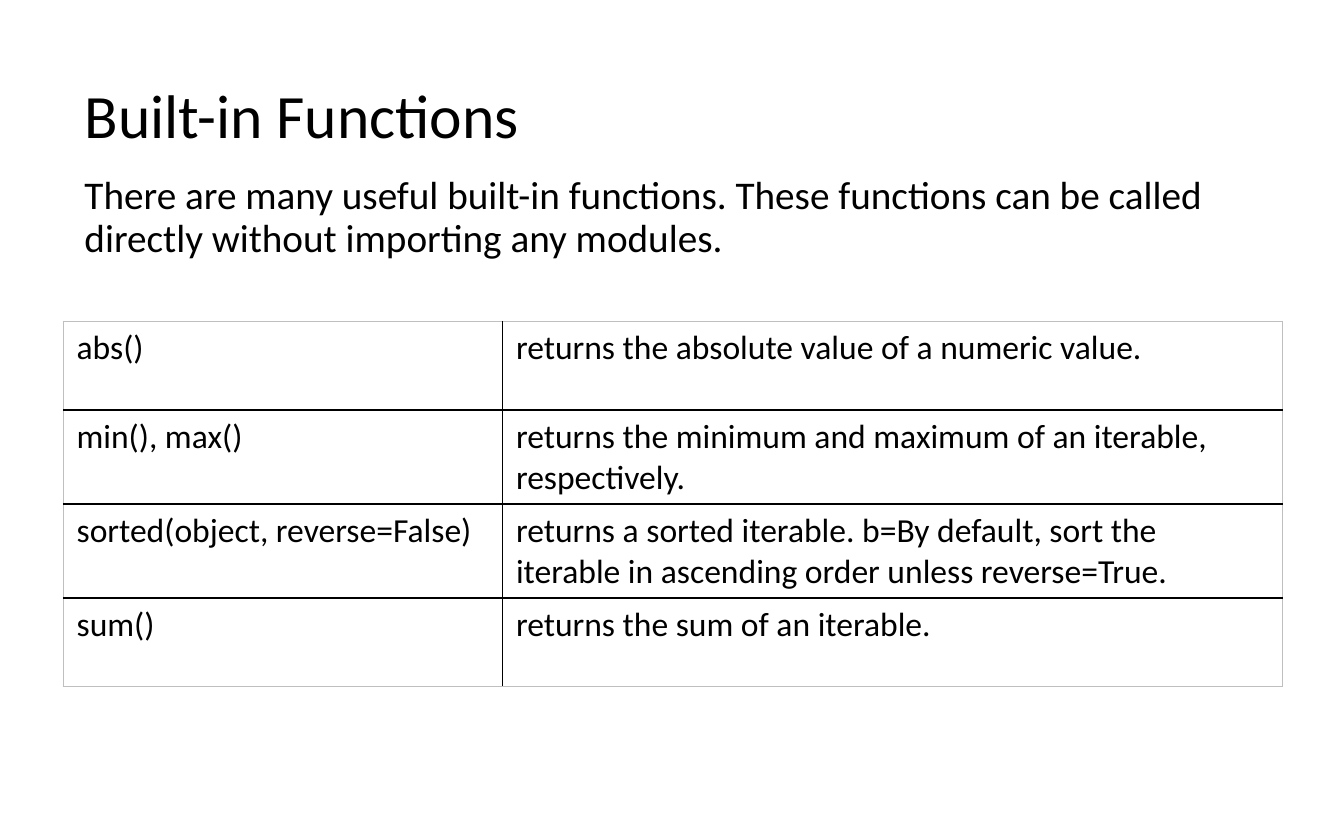
from lxml import etree
from pptx import Presentation
from pptx.dml.color import RGBColor
from pptx.enum.text import MSO_ANCHOR, PP_ALIGN
from pptx.oxml.ns import qn
from pptx.util import Inches, Pt

MIDDLE, TOP = MSO_ANCHOR.MIDDLE, MSO_ANCHOR.TOP
LEFT = PP_ALIGN.LEFT

BLACK = RGBColor(0, 0, 0)
GREY = RGBColor(0xBF, 0xBF, 0xBF)
FONT = "Calibri"
TITLE_ONLY = 5

INTRO = (
    "There are many useful built-in functions. These functions can be called "
    "directly without importing any modules."
)
FUNCTIONS = [
    ("abs()", "returns the absolute value of a numeric value."),
    ("min(), max()", "returns the minimum and maximum of an iterable, respectively."),
    (
        "sorted(object, reverse=False)",
        "returns a sorted iterable. b=By default, sort the iterable in "
        "ascending order unless reverse=True.",
    ),
    ("sum()", "returns the sum of an iterable."),
]
COLUMN_WIDTHS = (3.27, 5.8)
ROW_HEIGHT = 0.66


def set_attributes(target, values):
    for name, value in values.items():
        setattr(target, name, value)


def write_text(frame, text, size, anchor=TOP, line_spacing=None):
    set_attributes(frame, {"word_wrap": True, "vertical_anchor": anchor})
    paragraph = frame.paragraphs[0]
    set_attributes(paragraph, {"alignment": LEFT, "line_spacing": line_spacing})
    run = paragraph.add_run()
    run.text = text
    set_attributes(run.font, {"name": FONT, "size": Pt(size), "bold": False})
    run.font.color.rgb = BLACK


def add_title(slide, text):
    title = slide.shapes.title
    set_attributes(title, {
        "left": Inches(0.53),
        "top": Inches(0.51),
        "width": Inches(7.71),
        "height": Inches(0.75),
    })
    write_text(title.text_frame, text, 33, MIDDLE, 0.9)


def add_intro(slide, text):
    intro = slide.shapes.add_textbox(
        Inches(0.53), Inches(1.26), Inches(8.81), Inches(0.9)
    )
    write_text(intro.text_frame, text, 21, line_spacing=0.9)


def add_border(cell, side, color, width):
    properties = cell._tc.get_or_add_tcPr()
    line = etree.SubElement(properties, qn(f"a:ln{side}"), w=str(Pt(width)))
    fill = etree.SubElement(line, qn("a:solidFill"))
    etree.SubElement(fill, qn("a:srgbClr"), val=str(color))


def add_function_table(slide, functions):
    row_count, column_count = len(functions), len(COLUMN_WIDTHS)
    table = slide.shapes.add_table(
        row_count, column_count, Inches(0.47), Inches(2.39),
        Inches(sum(COLUMN_WIDTHS)), Inches(ROW_HEIGHT * row_count),
    ).table
    set_attributes(table, {"first_row": False, "horz_banding": False})
    for column, width in zip(table.columns, COLUMN_WIDTHS):
        column.width = Inches(width)
    for row_index, function in enumerate(functions):
        table.rows[row_index].height = Inches(ROW_HEIGHT)
        for column_index, text in enumerate(function):
            cell = table.cell(row_index, column_index)
            write_text(cell.text_frame, text, 18)
            outer_sides = {
                "L": column_index == 0,
                "R": column_index == column_count - 1,
                "T": row_index == 0,
                "B": row_index == row_count - 1,
            }
            for side, is_outer in outer_sides.items():
                color, width = (GREY, 0.5) if is_outer else (BLACK, 1)
                add_border(cell, side, color, width)
            cell.fill.background()


def main():
    presentation = Presentation()
    set_attributes(presentation, {
        "slide_width": Inches(10),
        "slide_height": Inches(6.25),
    })
    slide = presentation.slides.add_slide(presentation.slide_layouts[TITLE_ONLY])
    add_title(slide, "Built-in Functions")
    add_intro(slide, INTRO)
    add_function_table(slide, FUNCTIONS)
    presentation.save("out.pptx")


if __name__ == "__main__":
    main()
